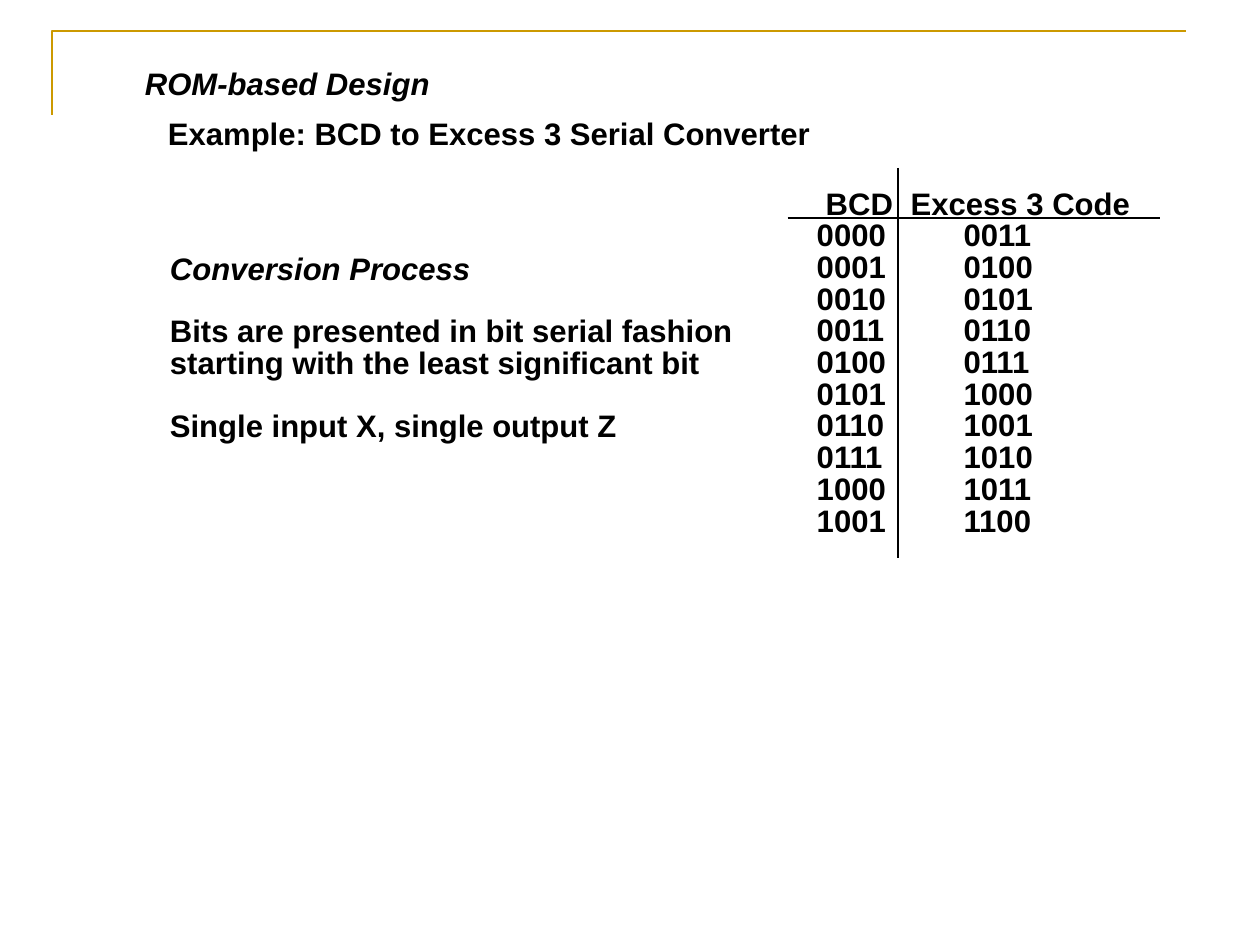
"""Build the ROM-based design slide on a BCD to Excess 3 converter."""
from lxml.etree import SubElement
from pptx import Presentation
from pptx.dml.color import RGBColor
from pptx.enum.shapes import MSO_CONNECTOR
from pptx.oxml.ns import qn
from pptx.util import Emu, Inches, Pt

SCALE = 914400 / 124.3
BLACK, GOLD = "000000", "CC9900"
LINE_SPACING = 0.85
BLANK_LINE = 18


def px(length):
    """Turn pixels into EMU."""
    return Emu(round(length * SCALE))


def color(value):
    """Turn a hex string into a colour."""
    return RGBColor.from_string(value)


def add_text(page, box, lines, italic=()):
    """Add bold lines in a box and return their paragraphs."""
    frame = page.shapes.add_textbox(*map(px, box)).text_frame
    frame.word_wrap = True
    frame.margin_left = frame.margin_right = px(9)
    frame.margin_top = frame.margin_bottom = px(4)
    frame.text = "\n".join(lines)
    for index, para in enumerate(frame.paragraphs):
        para.line_spacing = LINE_SPACING
        for span in para.runs:
            span.font.name = "Arial"
            span.font.size = Pt(18)
            span.font.bold = True
            span.font.italic = index in italic
            span.font.color.rgb = color(BLACK)
    return frame.paragraphs


def set_tabs(para, stops):
    """Give a paragraph left tab stops at pixel distances."""
    tabs = SubElement(para._p.get_or_add_pPr(), qn("a:tabLst"))
    for stop in stops:
        SubElement(tabs, qn("a:tab"), pos=str(px(stop)), algn="l")


def add_rule(page, start, end):
    """Draw a thin black line between two points."""
    rule = page.shapes.add_connector(MSO_CONNECTOR.STRAIGHT, *map(px, start + end))
    rule.line.color.rgb = color(BLACK)
    rule.line.width = Pt(1)
    SubElement(rule._element.spPr, qn("a:effectLst"))


def add_corner(page, box):
    """Draw the gold line along the left and top of a box."""
    left, top, width, height = box
    builder = page.shapes.build_freeform(left, top + height, scale=SCALE)
    builder.add_line_segments([(left, top), (left + width, top)], close=False)
    corner = builder.convert_to_shape()
    corner.shadow.inherit = False
    corner.fill.background()
    corner.line.color.rgb = color(GOLD)
    corner.line.width = Pt(1.5)


def add_headings(page, box):
    """Add the title and the indented example line."""
    left, top, width, height = box
    add_text(page, (left, top, 306, height), ["ROM-based Design"], italic=[0])
    add_text(page, (left + 23, top + 50, width - 23, height),
             ["Example: BCD to Excess 3 Serial Converter"])


def add_process(page, box):
    """Add the conversion notes with a line of space between them."""
    lines = ["Conversion Process",
             "Bits are presented in bit serial fashion",
             "starting with the least significant bit",
             "Single input X, single output Z"]
    paras = add_text(page, box, lines, italic=[0])
    for index in (1, 3):
        paras[index].space_before = Pt(BLANK_LINE)


def add_codes(page, box):
    """Add the code list and its crossed rules."""
    left, top, width, height = box
    codes = [f"\t{digit:04b}\t{digit + 3:04b}" for digit in range(10)]
    header, *rows = add_text(page, (left + 12, top + 18, width - 28, height - 30),
                             ["\tBCD\tExcess 3 Code"] + codes)
    set_tabs(header, (17, 102))
    for row in rows:
        set_tabs(row, (8, 155))
    add_rule(page, (left, top + 50), (left + width, top + 50))
    add_rule(page, (left + 110, top), (left + 110, top + height))


def build_slide(deck):
    """Place every region on a blank slide."""
    page = deck.slides.add_slide(deck.slide_layouts[6])
    add_corner(page, (52, 31, 1134, 84))
    add_headings(page, (136, 66, 692, 39))
    add_codes(page, (788, 168, 372, 390))
    add_process(page, (161, 251, 588, 200))


deck = Presentation()
deck.slide_width, deck.slide_height = Inches(10.14), Inches(7.6)
build_slide(deck)
deck.save("out.pptx")
